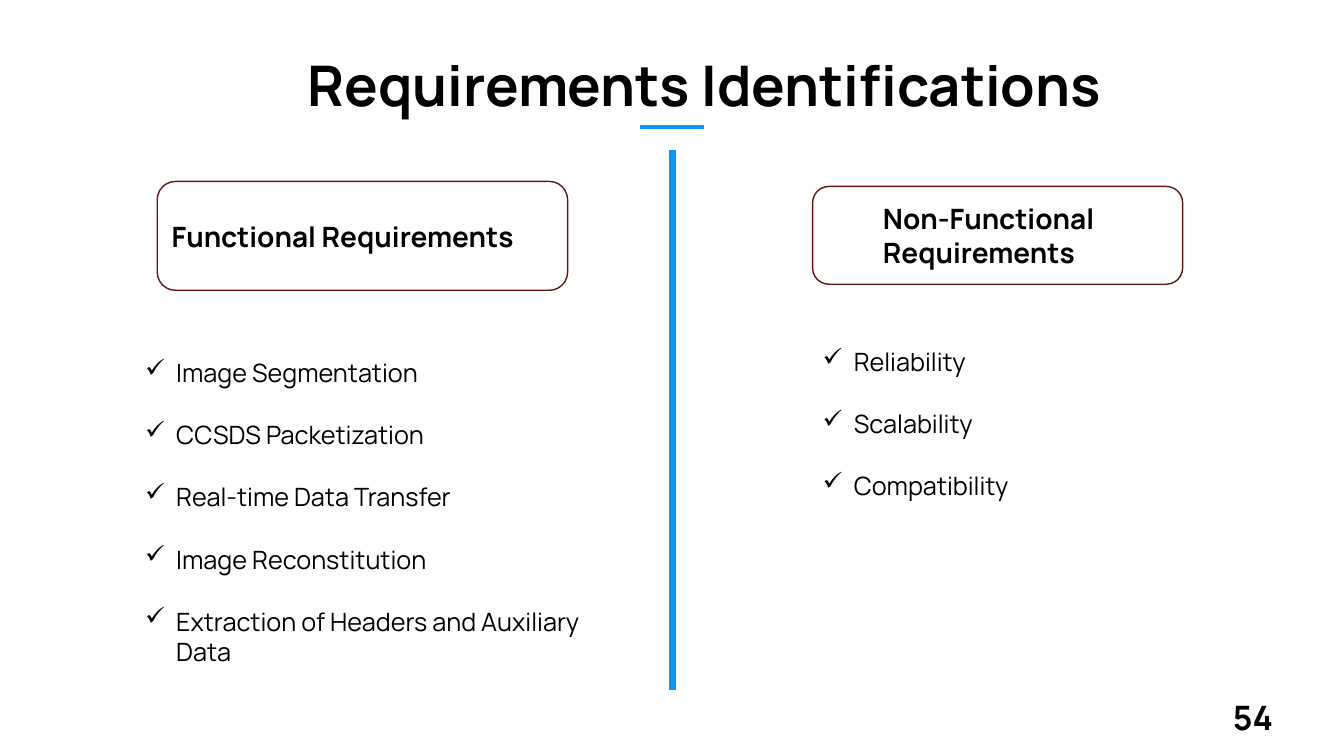
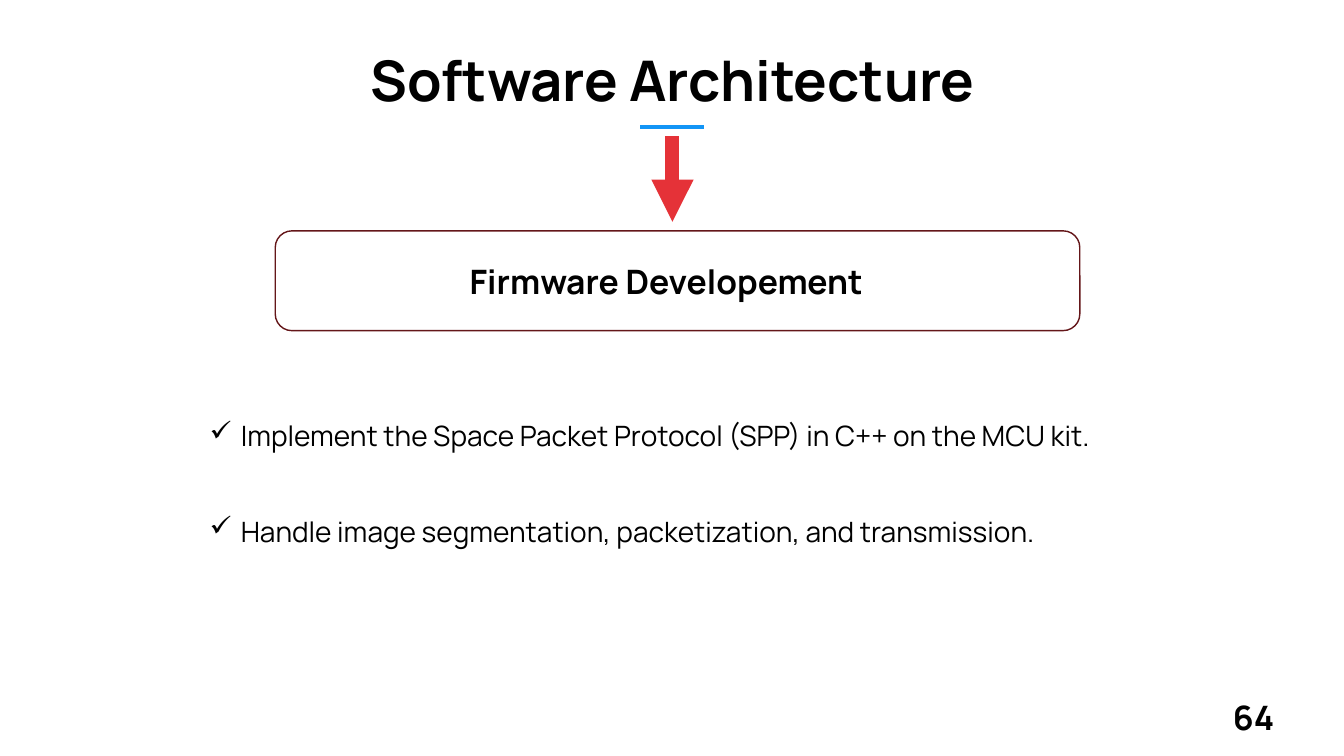
from lxml import etree
from pptx import Presentation
from pptx import util as u
from pptx.dml.color import RGBColor
from pptx.enum import shapes, text
from pptx.oxml.ns import qn

BLACK = RGBColor(0x00, 0x00, 0x00)
BLUE = RGBColor(0x12, 0x95, 0xF6)
RED = RGBColor(0xE5, 0x32, 0x38)
MAROON = RGBColor(0x64, 0x16, 0x19)
FONT = "Manrope"
CENTER = 6.67


class Deck:
    def __init__(self):
        self.prs = Presentation()
        self.prs.slide_width = u.Inches(13.33)
        self.prs.slide_height = u.Inches(7.5)
        self.s = None

    def slide(self, title, left, top, width, number):
        self.s = self.prs.slides.add_slide(self.prs.slide_layouts[6])
        tf = self.box(left, top, width, 0.77)
        tf.paragraphs[0].alignment = text.PP_ALIGN.CENTER
        self.run(tf.paragraphs[0], title, 40, True)
        self.line(CENTER - 0.32, 1.26, CENTER + 0.31, 1.26, BLUE, 2.25)
        tf = self.box(12.13, 6.86, 0.97, 0.5)
        self.run(tf.paragraphs[0], number, 24, True)

    def run(self, p, words, size, bold=False):
        r = p.add_run()
        r.text = words
        r.font.name = FONT
        r.font.size = u.Pt(size)
        r.font.bold = bold
        r.font.color.rgb = BLACK

    def box(self, left, top, width, height):
        sp = self.s.shapes.add_textbox(*map(u.Inches, (left, top, width, height)))
        tf = sp.text_frame
        tf.word_wrap = True
        return tf

    def line(self, x1, y1, x2, y2, color, weight, arrow=False):
        cx = self.s.shapes.add_connector(
            shapes.MSO_CONNECTOR.STRAIGHT, *map(u.Inches, (x1, y1, x2, y2)))
        cx.line.color.rgb = color
        cx.line.width = u.Pt(weight)
        if arrow:
            etree.SubElement(cx.line._get_or_add_ln(), qn("a:tailEnd"), type="triangle")
        etree.SubElement(cx._element.spPr, qn("a:effectLst"))

    def heading(self, left, top, width, height, words, size, inset_left, inset_right=0.1):
        sp = self.s.shapes.add_shape(
            shapes.MSO_SHAPE.ROUNDED_RECTANGLE,
            *map(u.Inches, (left, top, width, height)))
        sp.shadow.inherit = False
        sp.fill.background()
        sp.line.color.rgb = MAROON
        sp.line.width = u.Pt(1)
        tf = sp.text_frame
        tf.word_wrap = True
        tf.vertical_anchor = text.MSO_ANCHOR.MIDDLE
        tf.margin_left = u.Inches(inset_left)
        tf.margin_right = u.Inches(inset_right)
        p = tf.paragraphs[0]
        p.alignment = text.PP_ALIGN.LEFT
        self.run(p, words, size, True)

    def checklist(self, left, top, width, height, items, size, gap, spacing=1.0):
        tf = self.box(left, top, width, height)
        for i, item in enumerate(items):
            p = tf.add_paragraph() if i else tf.paragraphs[0]
            p.line_spacing = spacing
            if i:
                p.space_before = u.Pt(gap)
            pPr = p._p.get_or_add_pPr()
            pPr.set("marL", str(u.Inches(0.31)))
            pPr.set("indent", str(u.Inches(-0.31)))
            etree.SubElement(pPr, qn("a:buChar"), char="✓")
            self.run(p, item, size)


def main():
    d = Deck()

    d.slide("Requirements Identifications", 2.69, 0.45, 8.59, "54")
    d.heading(1.56, 1.8, 4.07, 1.08, "Functional Requirements", 20, 0.09)
    d.heading(8.06, 1.85, 3.67, 0.97, "Non-Functional Requirements", 20, 0.65, 0.5)
    d.checklist(1.34, 3.5, 4.76, 3.17, [
        "Image Segmentation",
        "CCSDS Packetization",
        "Real-time Data Transfer",
        "Image Reconstitution",
        "Extraction of Headers and Auxiliary Data",
    ], 18, 22.7)
    d.checklist(8.06, 3.39, 3.67, 1.63,
                ["Reliability", "Scalability", "Compatibility"], 18, 22.7)
    d.line(CENTER, 1.49, CENTER, 6.85, BLUE, 5)

    d.slide("Software Architecture", 3.18, 0.4, 6.98, "64")
    d.line(CENTER, 1.35, CENTER, 2.2, RED, 10, arrow=True)
    d.heading(2.73, 2.29, 7.98, 0.99, "Firmware Developement", 24, 1.88)
    d.checklist(1.98, 3.94, 10.26, 1.5, [
        "Implement the Space Packet Protocol (SPP) in C++ on the MCU kit.",
        "Handle image segmentation, packetization, and transmission.",
    ], 20, 32, 1.5)

    d.prs.save("out.pptx")


if __name__ == "__main__":
    main()
